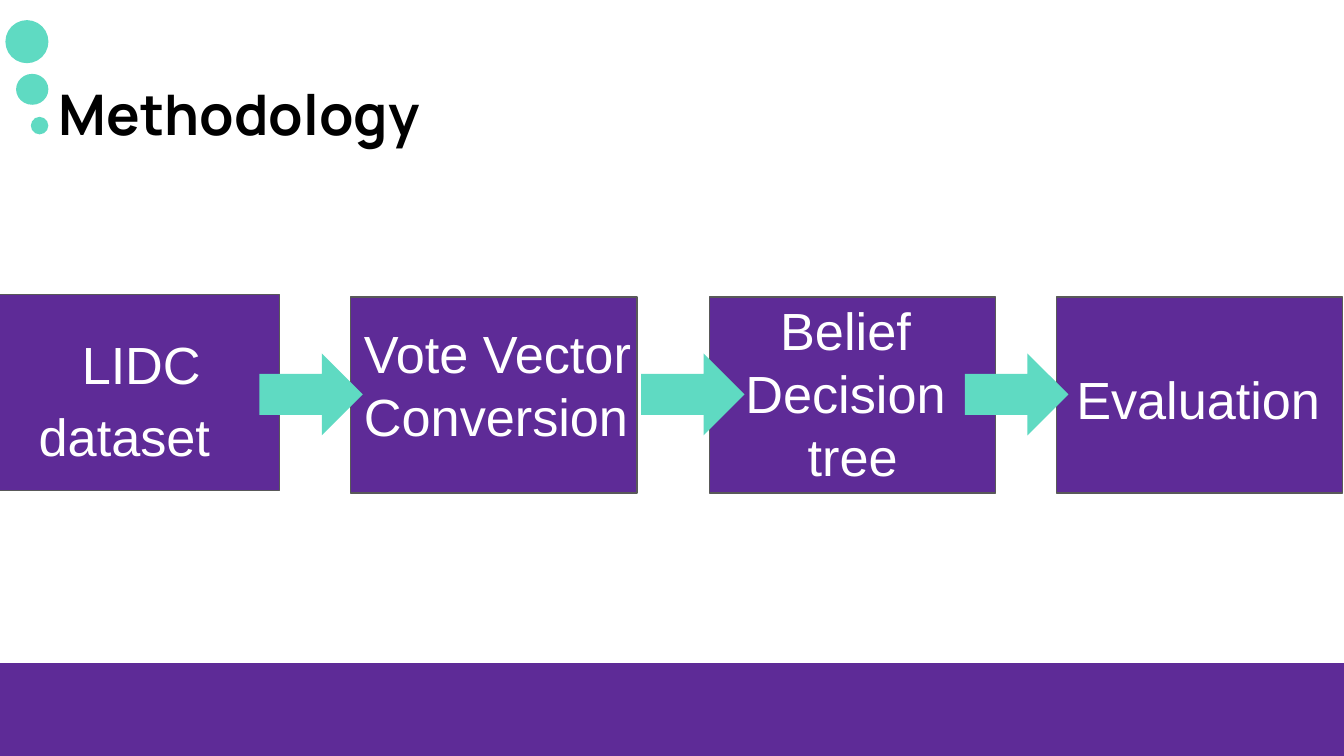
"""Build the Methodology slide: four process steps joined by arrows."""
import pptx
import pptx.util
import pptx.dml.color
import pptx.enum.shapes
import pptx.enum.text

Inches = pptx.util.Inches
Pt = pptx.util.Pt
Shapes = pptx.enum.shapes.MSO_SHAPE
Align = pptx.enum.text.PP_ALIGN
Anchor = pptx.enum.text.MSO_ANCHOR

COLORS = {
    "purple": "5E2B97",
    "mint": "5FDAC2",
    "border": "595959",
    "white": "FFFFFF",
    "black": "000000",
}


class SlideBuilder:
    """Hold the style and the current slide."""

    def __init__(self, slide):
        self.slide = slide

    def color(self, name):
        return pptx.dml.color.RGBColor.from_string(COLORS[name])

    def shape(self, kind, box, fill, line=None):
        shape = self.slide.shapes.add_shape(kind, *map(Inches, box))
        shape.shadow.inherit = False
        shape.fill.solid()
        shape.fill.fore_color.rgb = self.color(fill)
        if line:
            shape.line.color.rgb = self.color(line)
            shape.line.width = Pt(0.75)
        else:
            shape.line.fill.background()
        return shape

    def dot(self, left, top, width, height):
        return self.shape(Shapes.OVAL, (left, top, width, height), "mint")

    def arrow(self, left):
        return self.shape(Shapes.RIGHT_ARROW, (left, 2.63, 0.77, 0.61), "mint")

    def text(self, box, lines, size=28, font="Arial", color="white", bold=False,
             align=Align.LEFT, anchor=Anchor.TOP):
        frame = self.slide.shapes.add_textbox(*map(Inches, box)).text_frame
        frame.word_wrap = True
        frame.vertical_anchor = anchor
        frame.margin_left = frame.margin_right = Inches(0.1)
        frame.margin_top = frame.margin_bottom = Inches(0.1)
        frame.text = "\n".join(lines)
        for paragraph in frame.paragraphs:
            paragraph.alignment = align
            paragraph.font.size = Pt(size)
            paragraph.font.name = font
            paragraph.font.bold = bold
            paragraph.font.color.rgb = self.color(color)
        return frame

    def step(self, left, top, text_box, lines, **style):
        self.shape(Shapes.RECTANGLE, (left, top, 2.13, 1.46), "purple", "border")
        return self.text(text_box, lines, **style)


def main():
    presentation = pptx.Presentation()
    presentation.slide_width = Inches(10)
    presentation.slide_height = Inches(10) * 9 // 16
    builder = SlideBuilder(presentation.slides.add_slide(presentation.slide_layouts[6]))

    builder.text((0.34, 0.49, 9.32, 0.68), ["Methodology"],
                 size=30, font="Manrope", color="black", bold=True)
    builder.shape(Shapes.RECTANGLE, (-0.06, 4.94, 10.13, 0.68), "purple", "purple")

    dataset = builder.step(-0.05, 2.19, (0.19, 2.43, 1.87, 1.02), ["LIDC dataset"],
                           anchor=Anchor.MIDDLE).paragraphs[0]
    dataset.line_spacing = 1.15
    dataset.space_after = Pt(16)
    dataset._p.get_or_add_pPr().set("indent", str(Inches(0.32)))

    builder.step(2.61, 2.21, (2.61, 2.29, 2.32, 1.1), ["Vote Vector Conversion"])
    builder.step(5.28, 2.21, (5.41, 2.12, 1.87, 0.94), ["Belief ", "Decision ", "tree"],
                 align=Align.CENTER)
    builder.step(7.86, 2.21, (7.91, 2.63, 2.13, 0.61), ["Evaluation"])

    for left in (1.93, 4.77, 7.18):
        builder.arrow(left)

    for top, width, height in ((0.87, 0.13, 0.13), (0.55, 0.24, 0.23), (0.15, 0.32, 0.32)):
        builder.dot(0.36 - width, top, width, height)

    presentation.save("out.pptx")


if __name__ == "__main__":
    main()
